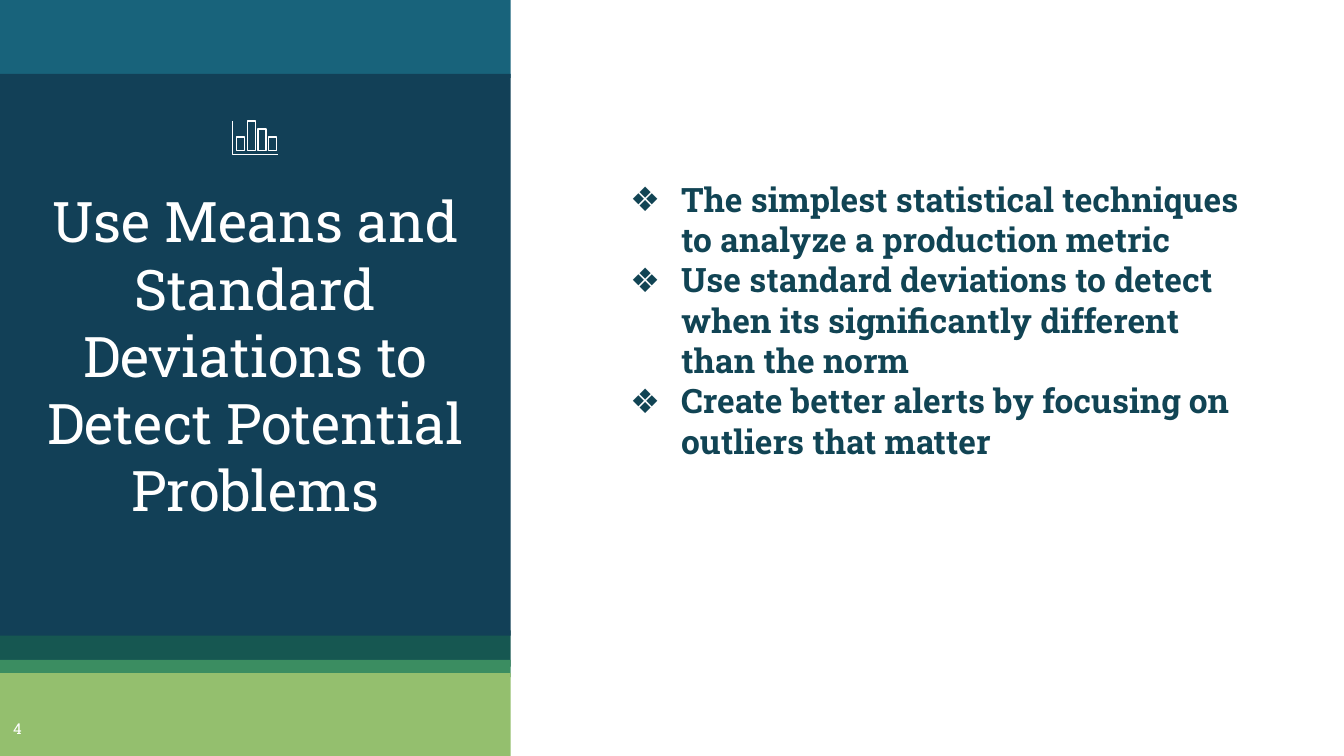
"""Build a statement slide: a banded title panel with a bar icon beside three bullets."""
from dataclasses import dataclass

from lxml.etree import SubElement
from pptx import Presentation
from pptx.dml.color import RGBColor
from pptx.enum.shapes import MSO_SHAPE
from pptx.enum.text import MSO_ANCHOR, PP_ALIGN
from pptx.oxml.ns import qn
from pptx.slide import Slide
from pptx.util import Inches, Pt

WIDTH = 10
HEIGHT = WIDTH * 9 / 16
PANEL = 0.38


@dataclass(frozen=True)
class Theme:
    """Colours, font and type sizes of the slide."""
    font: str = "Roboto Slab"
    white: str = "FFFFFF"
    ink: str = "114454"
    navy: str = "124057"
    teal: str = "18637B"
    pine: str = "165751"
    green: str = "3B8D61"
    lime: str = "94BF6E"
    title: float = 30
    body: float = 18
    small: float = 8
    outline: float = 0.75


@dataclass(frozen=True)
class Area:
    """A rectangle in shares of the slide's width and height."""
    left: float
    top: float
    width: float
    height: float

    def box(self) -> tuple[int, int, int, int]:
        """Return the rectangle as slide lengths."""
        return (Inches(self.left * WIDTH), Inches(self.top * HEIGHT),
                Inches(self.width * WIDTH), Inches(self.height * HEIGHT))


@dataclass(frozen=True)
class Band:
    """A coloured stripe of the title panel."""
    area: Area
    color: str


@dataclass(frozen=True)
class Bar:
    """An icon bar: its column on the icon grid and height in hundredths of an inch."""
    column: int
    height: int


THEME = Theme()
TITLE_AREA = Area(0, 0.55 / HEIGHT, PANEL, 4.18 / HEIGHT)
BODY_AREA = Area(0.447, 1.23 / HEIGHT, 0.493, 3.17 / HEIGHT)
NUMBER_AREA = Area(-0.006, 5.27 / HEIGHT, 0.038, 0.35 / HEIGHT)
BANDS = [
    Band(Area(0, 4.69 / HEIGHT, PANEL, 0.27 / HEIGHT), THEME.pine),
    Band(Area(0, 0, PANEL, 0.58 / HEIGHT), THEME.teal),
    Band(TITLE_AREA, THEME.navy),
    Band(Area(0, 4.91 / HEIGHT, PANEL, 0.13 / HEIGHT), THEME.green),
    Band(Area(0, 5.01 / HEIGHT, PANEL, 1 - 5.01 / HEIGHT), THEME.lime),
]
BARS = [Bar(0, 10), Bar(3, 10), Bar(1, 22), Bar(2, 16)]
BAR_LEFT, BAR_BASE, BAR_WIDTH, BAR_PITCH = 176, 112, 6, 8
AXIS = [(173, 90), (173, 115), (207, 115)]
TITLE = "Use Means and Standard Deviations to Detect Potential Problems"
POINTS = [
    "The simplest statistical techniques to analyze a production metric",
    "Use standard deviations to detect when its significantly different than the norm",
    "Create better alerts by focusing on outliers that matter",
]


def add_band(slide: Slide, band: Band) -> None:
    """Draw one stripe without outline."""
    stripe = slide.shapes.add_shape(MSO_SHAPE.RECTANGLE, *band.area.box())
    stripe.shadow.inherit = False
    stripe.fill.solid()
    stripe.fill.fore_color.rgb = RGBColor.from_string(band.color)
    stripe.line.fill.background()


def add_outline(slide: Slide, points: list[tuple[int, int]], close: bool) -> None:
    """Draw an unfilled white path through points in hundredths of an inch."""
    builder = slide.shapes.build_freeform(*points[0], scale=Inches(0.01))
    builder.add_line_segments(points[1:], close=close)
    outline = builder.convert_to_shape()
    outline.shadow.inherit = False
    outline.fill.background()
    outline.line.color.rgb = RGBColor.from_string(THEME.white)
    outline.line.width = Pt(THEME.outline)


def add_bar(slide: Slide, bar: Bar) -> None:
    """Draw one icon bar standing on the common base."""
    left = BAR_LEFT + bar.column * BAR_PITCH
    right, top = left + BAR_WIDTH, BAR_BASE - bar.height
    add_outline(slide, [(right, BAR_BASE), (right, top), (left, top), (left, BAR_BASE)],
                close=True)


def add_text(slide: Slide, area: Area, lines: list[str], *, size: float,
             color: str = THEME.white, bold: bool = False, bullet: str = "",
             align: PP_ALIGN = PP_ALIGN.CENTER, top_margin: float = 0.1,
             anchor: MSO_ANCHOR = MSO_ANCHOR.TOP) -> None:
    """Write one paragraph per line, with a hanging bullet if one is given."""
    frame = slide.shapes.add_textbox(*area.box()).text_frame
    frame.word_wrap = True
    frame.vertical_anchor = anchor
    frame.margin_left = frame.margin_right = frame.margin_bottom = Inches(0.1)
    frame.margin_top = Inches(top_margin)
    for index, line in enumerate(lines):
        paragraph = frame.add_paragraph() if index else frame.paragraphs[0]
        paragraph.alignment = align
        run = paragraph.add_run()
        run.text = line
        run.font.name = THEME.font
        run.font.size = Pt(size)
        run.font.bold = bold
        run.font.color.rgb = RGBColor.from_string(color)
        if bullet:
            properties = paragraph._p.get_or_add_pPr()
            properties.set("marL", str(Inches(0.5)))
            properties.set("indent", str(Inches(-0.38)))
            tint = SubElement(properties, qn("a:buClr"))
            SubElement(tint, qn("a:srgbClr"), val=color)
            SubElement(properties, qn("a:buFont"), typeface=THEME.font)
            SubElement(properties, qn("a:buChar"), char=bullet)


def main() -> None:
    """Assemble and save the slide."""
    deck = Presentation()
    deck.slide_width, deck.slide_height = Inches(WIDTH), Inches(HEIGHT)
    slide = deck.slides.add_slide(deck.slide_layouts[6])
    for band in BANDS:
        add_band(slide, band)
    add_text(slide, BODY_AREA, POINTS, size=THEME.body, color=THEME.ink,
             bold=True, bullet="❖", align=PP_ALIGN.LEFT)
    add_text(slide, TITLE_AREA, [TITLE], size=THEME.title, anchor=MSO_ANCHOR.MIDDLE)
    add_text(slide, NUMBER_AREA, ["4"], size=THEME.small, top_margin=0.14)
    add_outline(slide, AXIS, close=False)
    for bar in BARS:
        add_bar(slide, bar)
    deck.save("out.pptx")


if __name__ == "__main__":
    main()
